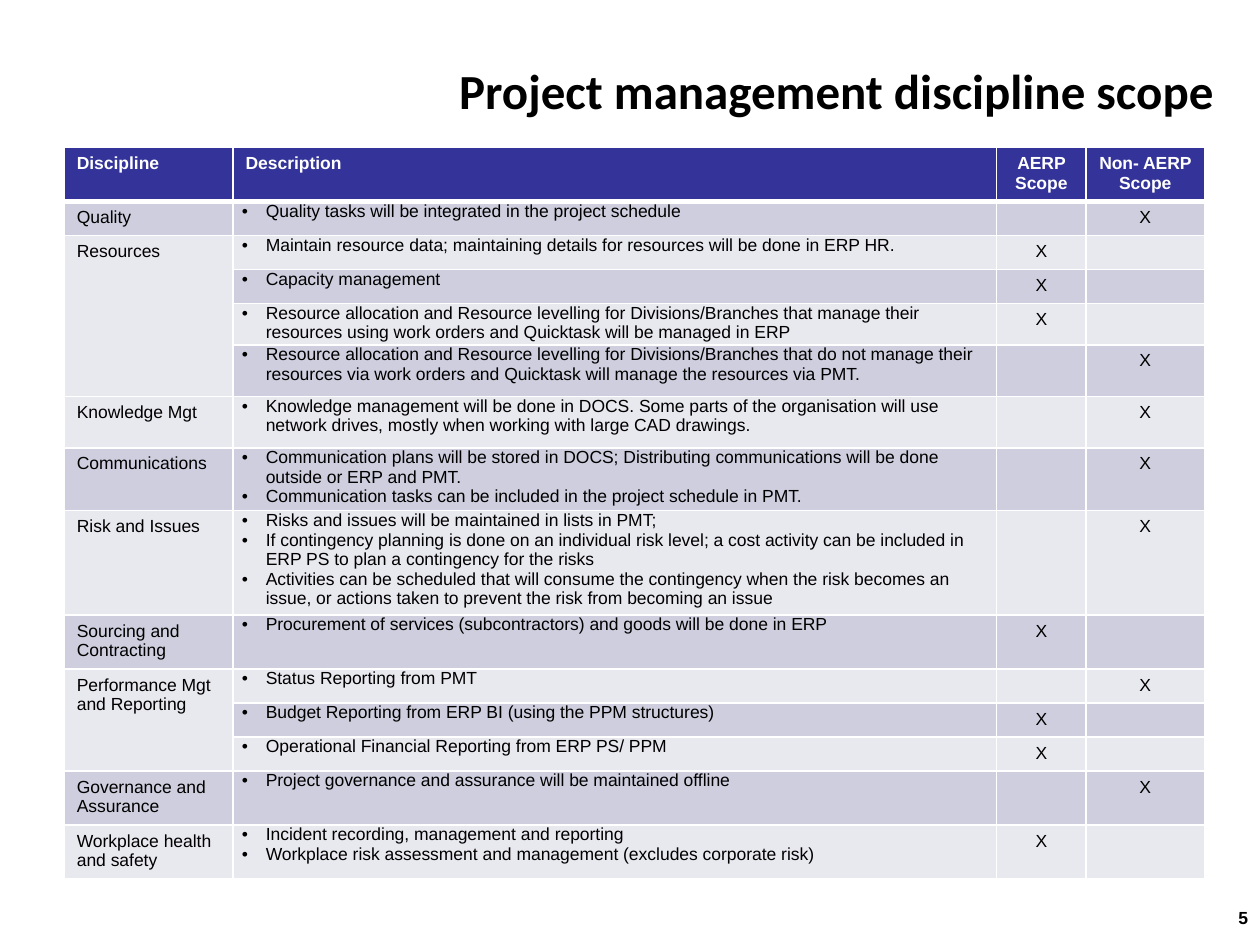
from lxml.etree import SubElement
from pptx import Presentation
from pptx.dml.color import RGBColor
from pptx.enum.text import MSO_ANCHOR, MSO_AUTO_SIZE, PP_ALIGN
from pptx.oxml.ns import qn
from pptx.util import Inches, Pt

BLACK = RGBColor(0x00, 0x00, 0x00)
WHITE = RGBColor(0xFF, 0xFF, 0xFF)
NAVY = RGBColor(0x33, 0x33, 0x99)
BANDS = (RGBColor(0xE8, 0xE8, 0xEF), RGBColor(0xCE, 0xCE, 0xDE))

TITLE_FONT = {"name": "Calibri", "size": Pt(28), "bold": True}
HEAD_FONT = {"name": "Arial", "size": Pt(10), "bold": True}
BODY_FONT = {"name": "Arial", "size": Pt(10), "bold": False}

TITLE_BOX = (2.72, 0.3, 7.01, 0.83)
TABLE_BOX = (0.51, 1.17, 9.05, 5.81)
NUMBER_BOX = (9.73, 7.18, 0.28, 0.27)

COLS = (1.34, 6.06, 0.71, 0.94)
ROWS = (0.43, 0.27, 0.27, 0.27, 0.33, 0.41, 0.41, 0.5, 0.83,
        0.43, 0.27, 0.27, 0.27, 0.43, 0.43)
HEADINGS = ("Discipline", "Description", "AERP Scope", "Non- AERP Scope")
IN, OUT = 2, 3

DISCIPLINES = (
    ("Quality", (
        (OUT, "Quality tasks will be integrated in the project schedule"),)),
    ("Resources", (
        (IN, "Maintain resource data; maintaining details for resources will be done in ERP HR."),
        (IN, "Capacity management"),
        (IN, "Resource allocation and Resource levelling for Divisions/Branches that manage their "
             "resources using work orders and Quicktask will be managed in ERP"),
        (OUT, "Resource allocation and Resource levelling for Divisions/Branches that do not manage their "
              "resources via work orders and Quicktask will manage the resources via PMT."))),
    ("Knowledge Mgt", (
        (OUT, "Knowledge management will be done in DOCS. Some parts of the organisation will use "
              "network drives, mostly when working with large CAD drawings."),)),
    ("Communications", (
        (OUT, "Communication plans will be stored in DOCS; Distributing communications will be done "
              "outside or ERP and PMT.",
         "Communication tasks can be included in the project schedule in PMT."),)),
    ("Risk and Issues", (
        (OUT, "Risks and issues will be maintained in lists in PMT;",
         "If contingency planning is done on an individual risk level; a cost activity can be included in "
         "ERP PS to plan a contingency for the risks",
         "Activities can be scheduled that will consume the contingency when the risk becomes an "
         "issue, or actions taken to prevent the risk from becoming an issue"),)),
    ("Sourcing and Contracting", (
        (IN, "Procurement of services (subcontractors) and goods will be done in ERP"),)),
    ("Performance Mgt and Reporting", (
        (OUT, "Status Reporting from PMT"),
        (IN, "Budget Reporting from ERP BI (using the PPM structures)"),
        (IN, "Operational Financial Reporting from ERP PS/ PPM"))),
    ("Governance and Assurance", (
        (OUT, "Project governance and assurance will be maintained offline"),)),
    ("Workplace health and safety", (
        (IN, "Incident recording, management and reporting",
         "Workplace risk assessment and management (excludes corporate risk)"),)),
)


def set_attrs(obj, values):
    for name, value in values.items():
        setattr(obj, name, value)


def add_text(p, text, font, color, align=PP_ALIGN.LEFT):
    p.alignment = align
    r = p.add_run()
    r.text = text
    set_attrs(r.font, font)
    r.font.color.rgb = color


def add_bullet(p):
    pPr = p._p.get_or_add_pPr()
    pPr.set("marL", str(Inches(0.19)))
    pPr.set("indent", str(-Inches(0.19)))
    SubElement(pPr, qn("a:buFont")).set("typeface", "Arial")
    SubElement(pPr, qn("a:buChar")).set("char", "•")


def style_cell(cell, fill, bottom=1):
    tcPr = cell._tc.get_or_add_tcPr()
    for side, width in (("L", 1), ("R", 1), ("T", 1), ("B", bottom)):
        ln = SubElement(tcPr, qn(f"a:ln{side}"), w=str(Pt(width)))
        color = SubElement(SubElement(ln, qn("a:solidFill")), qn("a:srgbClr"))
        color.set("val", str(WHITE))
    cell.fill.solid()
    cell.fill.fore_color.rgb = fill


def fill_cell(cell, lines=(), font=BODY_FONT, color=BLACK, align=PP_ALIGN.LEFT, bullets=False):
    x, y = (0.07, 0) if bullets else (0.1, 0.05)
    set_attrs(cell, {"margin_left": Inches(x), "margin_right": Inches(x),
                     "margin_top": Inches(y), "margin_bottom": Inches(y)})
    tf = cell.text_frame
    for i, line in enumerate(lines):
        p = tf.add_paragraph() if i else tf.paragraphs[0]
        add_text(p, line, font, color, align)
        if bullets:
            add_bullet(p)
    if not lines:
        SubElement(tf.paragraphs[0]._p, qn("a:endParaRPr")).set("sz", "1000")


def add_title(s, box, text):
    sp = s.shapes.title
    set_attrs(sp, dict(zip(("left", "top", "width", "height"), map(Inches, box))))
    tf = sp.text_frame
    set_attrs(tf, {"word_wrap": True, "vertical_anchor": MSO_ANCHOR.MIDDLE,
                   "auto_size": MSO_AUTO_SIZE.NONE})
    add_text(tf.paragraphs[0], text, TITLE_FONT, BLACK, PP_ALIGN.RIGHT)


def add_scope_table(s, box):
    left, top, width, height = box
    table = s.shapes.add_table(len(ROWS), len(COLS), *map(Inches, box)).table
    for col, share in zip(table.columns, COLS):
        col.width = Inches(width * share / sum(COLS))
    for row, share in zip(table.rows, ROWS):
        row.height = Inches(height * share / sum(ROWS))

    for c, heading in enumerate(HEADINGS):
        cell = table.cell(0, c)
        style_cell(cell, NAVY, bottom=3)
        fill_cell(cell, [heading], HEAD_FONT, WHITE,
                  PP_ALIGN.CENTER if c >= IN else PP_ALIGN.LEFT)

    row = 1
    for name, entries in DISCIPLINES:
        first = row
        for scope, *lines in entries:
            band = BANDS[first % 2], *[BANDS[row % 2]] * 3
            for c, color in enumerate(band):
                style_cell(table.cell(row, c), color)
            fill_cell(table.cell(row, 0), [name] if row == first else ())
            fill_cell(table.cell(row, 1), lines, bullets=True)
            for c in (IN, OUT):
                fill_cell(table.cell(row, c), ["X"] if c == scope else (), align=PP_ALIGN.CENTER)
            row += 1
        if len(entries) > 1:
            table.cell(first, 0).merge(table.cell(row - 1, 0))


def add_page_number(s, box, number):
    tf = s.shapes.add_textbox(*map(Inches, box)).text_frame
    set_attrs(tf, {"word_wrap": False, "auto_size": MSO_AUTO_SIZE.SHAPE_TO_FIT_TEXT})
    p = tf.paragraphs[0]
    p.line_spacing = 0.8
    add_text(p, str(number), HEAD_FONT, BLACK)


prs = Presentation()
set_attrs(prs, {"slide_width": Inches(10), "slide_height": Inches(7.5)})
s = prs.slides.add_slide(prs.slide_layouts[5])
add_title(s, TITLE_BOX, "Project management discipline scope")
add_scope_table(s, TABLE_BOX)
add_page_number(s, NUMBER_BOX, 5)
prs.save("out.pptx")
